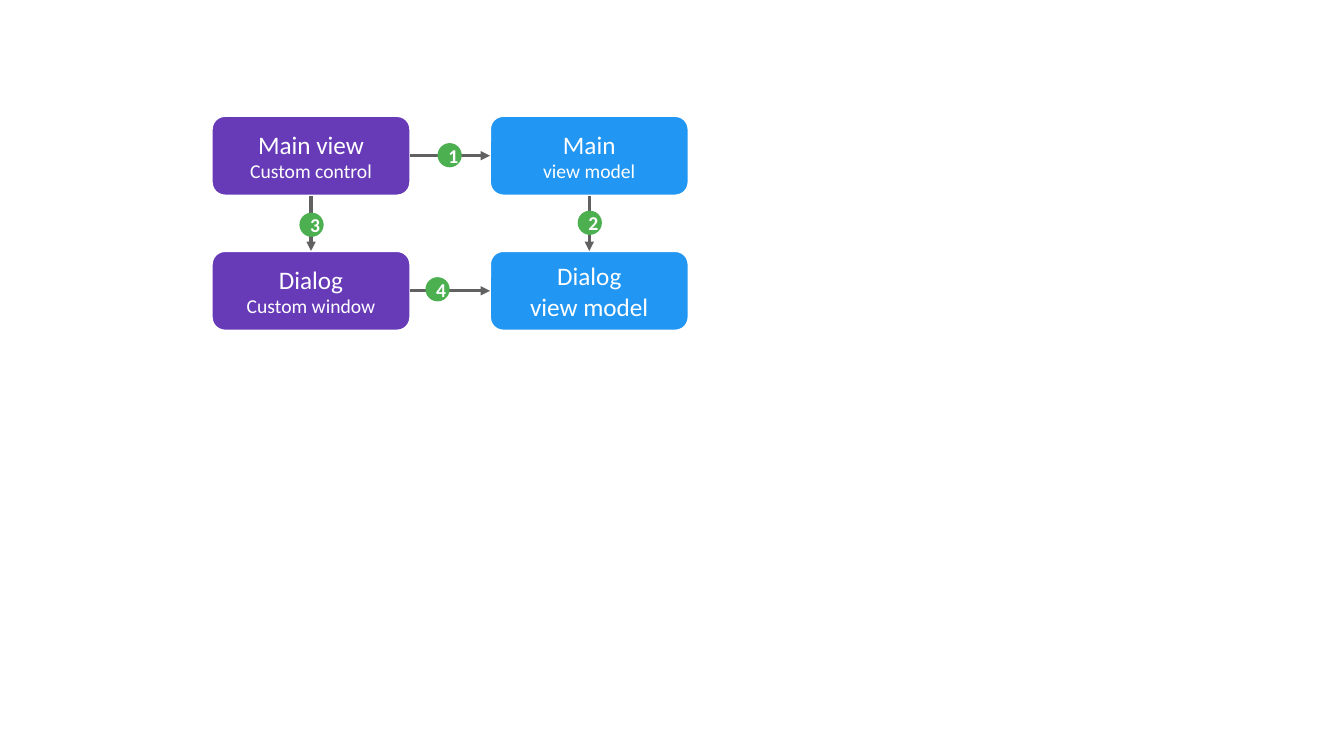
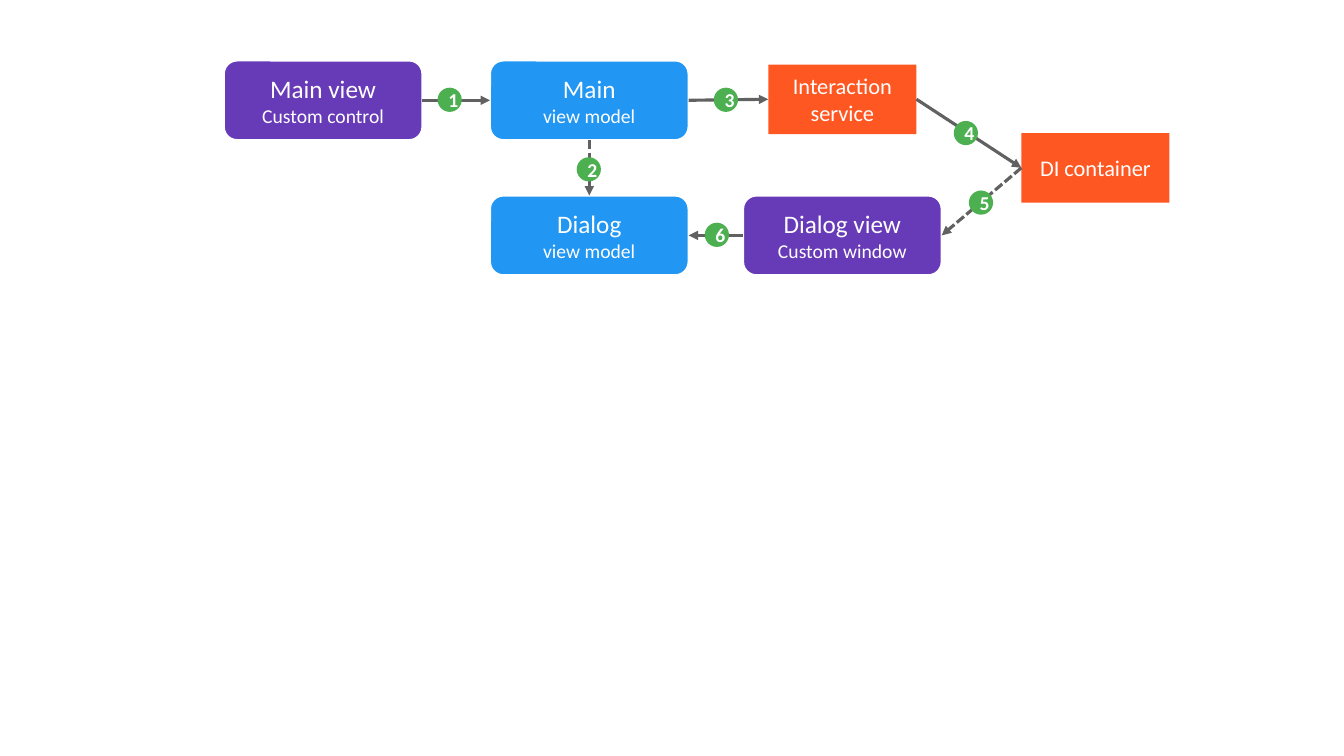
from lxml import etree
from pptx import Presentation
from pptx.dml.color import RGBColor
from pptx.enum.dml import MSO_LINE
from pptx.enum.shapes import MSO_CONNECTOR, MSO_SHAPE
from pptx.enum.text import MSO_ANCHOR, PP_ALIGN
from pptx.oxml.ns import qn
from pptx.util import Inches, Pt

COLORS = {
    "view": "673AB7",
    "model": "2196F3",
    "service": "FF5722",
    "badge": "4CAF50",
    "arrow": "616161",
    "white": "FFFFFF",
}
FONT = "Calibri"

# Kind: preset shape, width, height, outline in points, bold
KINDS = {
    "view": (MSO_SHAPE.ROUNDED_RECTANGLE, 1.97, 0.79, 1.5, False),
    "model": (MSO_SHAPE.ROUNDED_RECTANGLE, 1.97, 0.79, 1.5, False),
    "service": (MSO_SHAPE.RECTANGLE, 1.47, 0.69, 0, False),
    "badge": (MSO_SHAPE.OVAL, 0.24, 0.24, 0, True),
}
# Connection sites of a rectangle
TOP, LEFT, BOTTOM, RIGHT = range(4)
ROW_STEP = 1.34
MODEL_X = 4.86


def color(name):
    return RGBColor.from_string(COLORS[name])


def add_node(s, kind, x, y, lines):
    """Add a filled shape; lines is a list of (text, size) pairs."""
    preset, width, height, outline, bold = KINDS[kind]
    sp = s.shapes.add_shape(preset, Inches(x), Inches(y), Inches(width), Inches(height))
    sp.shadow.inherit = False
    sp.fill.solid()
    sp.fill.fore_color.rgb = color(kind)
    if outline:
        sp.line.color.rgb = color("white")
        sp.line.width = Pt(outline)
    else:
        sp.line.fill.background()
    tf = sp.text_frame
    tf.word_wrap = True
    tf.vertical_anchor = MSO_ANCHOR.MIDDLE
    p = tf.paragraphs[0]
    p.alignment = PP_ALIGN.CENTER
    p.font.name = FONT
    p.font.bold = bold
    p.font.color.rgb = color("white")
    for i, (text, size) in enumerate(lines):
        if i:
            p.add_line_break()
        r = p.add_run()
        r.text = text
        r.font.size = Pt(size)
    return sp


# Nodes: name -> kind, x, y, lines
# Arrows: start node, site, end node, site, dashed
# Badges: x, y in numbered order
y1, y2 = 1.15, 0.6
slides = [
    {
        "nodes": {
            "main view": ("view", 2.1, y1, [("Main view", 18), ("Custom control", 14)]),
            "main": ("model", MODEL_X, y1, [("Main", 18), ("view model", 14)]),
            "dialog view": ("view", 2.1, y1 + ROW_STEP, [("Dialog", 18), ("Custom window", 14)]),
            "dialog": ("model", MODEL_X, y1 + ROW_STEP, [("Dialog", 18), ("view model", 18)]),
        },
        "arrows": [
            ("main view", RIGHT, "main", LEFT, False),
            ("main", BOTTOM, "dialog", TOP, False),
            ("main view", BOTTOM, "dialog view", TOP, False),
            ("dialog view", RIGHT, "dialog", LEFT, False),
        ],
        "badges": [(4.34, 1.42), (5.73, 2.09), (2.97, 2.11), (4.22, 2.75)],
    },
    {
        "nodes": {
            "main view": ("view", 2.22, y2, [("Main view", 18), ("Custom control", 14)]),
            "main": ("model", MODEL_X, y2, [("Main", 18), ("view model", 14)]),
            "dialog view": ("view", 7.37, y2 + ROW_STEP, [("Dialog view", 18), ("Custom window", 14)]),
            "dialog": ("model", MODEL_X, y2 + ROW_STEP, [("Dialog", 18), ("view model", 14)]),
            "container": ("service", 10.13, 1.32, [("DI container", 16)]),
            "interaction": ("service", 7.62, 0.64, [("Interaction service", 16)]),
        },
        "arrows": [
            ("main view", RIGHT, "main", LEFT, False),
            ("main", BOTTOM, "dialog", TOP, True),
            ("main", RIGHT, "interaction", LEFT, False),
            ("interaction", RIGHT, "container", LEFT, False),
            ("container", LEFT, "dialog view", RIGHT, True),
            ("dialog view", LEFT, "dialog", RIGHT, False),
        ],
        "badges": [(4.34, 0.87), (5.72, 1.56), (7.08, 0.87),
                   (9.46, 1.2), (9.61, 1.89), (6.99, 2.21)],
    },
]

prs = Presentation()
prs.slide_width = Inches(13.33)
prs.slide_height = Inches(7.5)

for diagram in slides:
    s = prs.slides.add_slide(prs.slide_layouts[6])

    # Boxes
    nodes = {name: add_node(s, *node) for name, node in diagram["nodes"].items()}

    # Arrows glued to the boxes
    for start, start_site, end, end_site, dashed in diagram["arrows"]:
        cxn = s.shapes.add_connector(MSO_CONNECTOR.STRAIGHT, 0, 0, 0, 0)
        cxn.begin_connect(nodes[start], start_site)
        cxn.end_connect(nodes[end], end_site)
        cxn.line.color.rgb = color("arrow")
        cxn.line.width = Pt(2.25)
        if dashed:
            cxn.line.dash_style = MSO_LINE.SQUARE_DOT
        spPr = cxn._element.spPr
        etree.SubElement(spPr.find(qn("a:ln")), qn("a:tailEnd"), type="triangle")
        etree.SubElement(spPr, qn("a:effectLst"))

    # Step numbers
    for number, (x, y) in enumerate(diagram["badges"], start=1):
        add_node(s, "badge", x, y, [(str(number), 14)])

prs.save("out.pptx")
